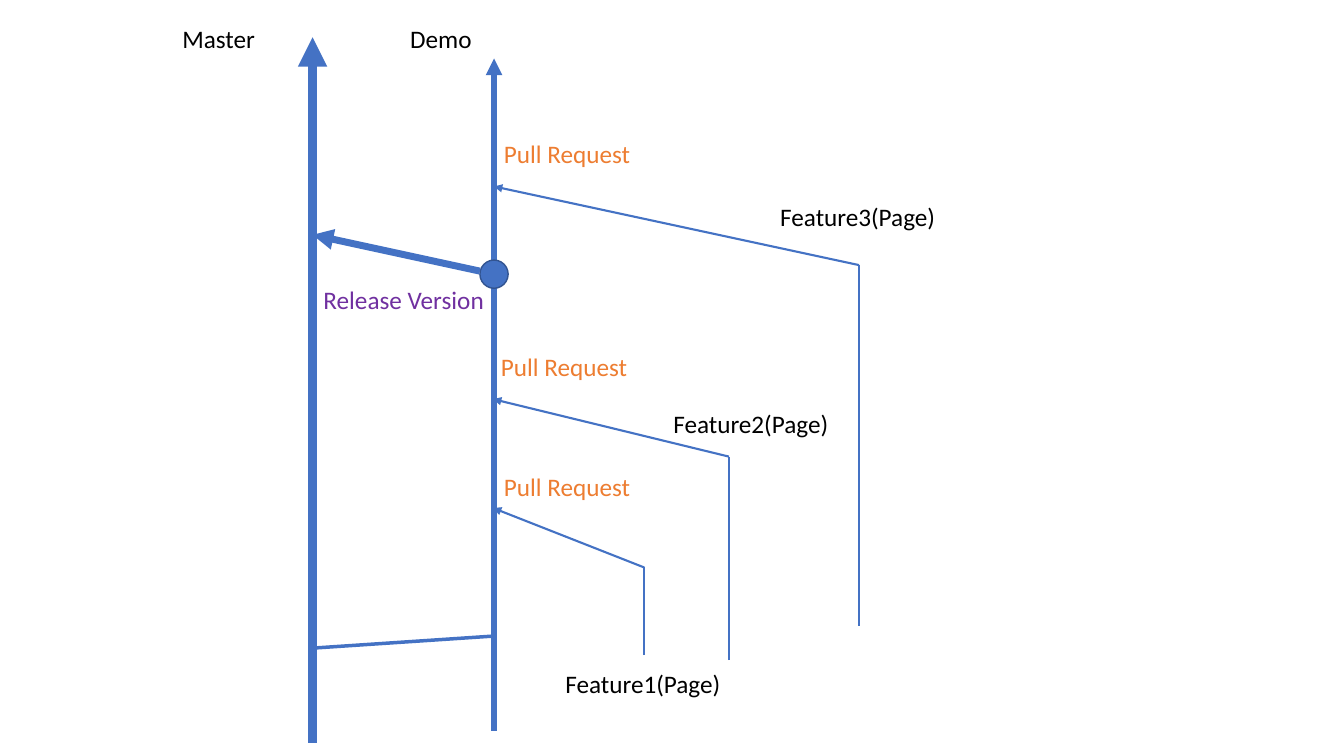
from dataclasses import dataclass

from lxml import etree
from pptx import Presentation
from pptx.dml.color import RGBColor as Color
from pptx.enum.shapes import MSO_CONNECTOR as Connector, MSO_SHAPE as Shape
from pptx.enum.text import MSO_AUTO_SIZE as AutoSize
from pptx.oxml.ns import qn
from pptx.util import Inches, Pt


@dataclass(frozen=True)
class Theme:
    font: str = "Calibri"
    size: int = 18
    text: str = "000000"
    branch: str = "4472C4"
    outline: str = "325491"
    release: str = "7030A0"
    request: str = "ED7D31"


class BranchDiagram:
    def __init__(self, page, theme):
        self.page = page
        self.theme = theme

    def line(self, start, end, width, arrow=False):
        points = [Inches(value) for value in (*start, *end)]
        connector = self.page.shapes.add_connector(Connector.STRAIGHT, *points)
        connector.line.color.rgb = Color.from_string(self.theme.branch)
        connector.line.width = Pt(width)
        if arrow:
            outline = connector.line._get_or_add_ln()
            etree.SubElement(outline, qn("a:tailEnd"), type="triangle")
        etree.SubElement(connector._element.spPr, qn("a:effectLst"))

    def label(self, text, left, top, width, color):
        box = self.page.shapes.add_textbox(
            Inches(left), Inches(top), Inches(width), Inches(0.4))
        frame = box.text_frame
        frame.word_wrap = False
        frame.auto_size = AutoSize.SHAPE_TO_FIT_TEXT
        span = frame.paragraphs[0].add_run()
        span.text = text
        style = {"name": self.theme.font, "size": Pt(self.theme.size)}
        for name, value in style.items():
            setattr(span.font, name, value)
        span.font.color.rgb = Color.from_string(color)

    def commit(self, left, top, diameter):
        dot = self.page.shapes.add_shape(
            Shape.OVAL, Inches(left), Inches(top), Inches(diameter), Inches(diameter))
        dot.shadow.inherit = False
        dot.fill.solid()
        dot.fill.fore_color.rgb = Color.from_string(self.theme.branch)
        dot.line.color.rgb = Color.from_string(self.theme.outline)
        dot.line.width = Pt(1)


MASTER_X, DEMO_X = 3.1, 4.9

# Feature: x, bottom, top, merge point, label position
FEATURES = [
    ("Feature1(Page)", 6.39, 6.5, 5.63, (4.89, 5.04), (5.51, 6.58)),
    ("Feature2(Page)", 7.23, 6.55, 4.53, (4.89, 3.96), (6.58, 4.0)),
    ("Feature3(Page)", 8.52, 6.21, 2.63, (DEMO_X, 1.85), (7.64, 1.95)),
]
REQUESTS = [(4.9, 4.63), (4.87, 3.44), (4.9, 1.32)]


def main():
    deck = Presentation()
    deck.slide_width, deck.slide_height = Inches(13.33), Inches(7.5)
    theme = Theme()
    diagram = BranchDiagram(deck.slides.add_slide(deck.slide_layouts[6]), theme)

    # Long-lived branches
    diagram.line((MASTER_X, 7.37), (MASTER_X, 0.37), 7, arrow=True)
    diagram.line((DEMO_X, 7.25), (DEMO_X, 0.58), 4, arrow=True)
    diagram.label("Master", 1.71, 0.18, 0.93, theme.text)
    diagram.label("Demo", 3.97, 0.18, 0.82, theme.text)
    diagram.line((MASTER_X, 6.43), (DEMO_X, 6.31), 2.5)

    # Feature branches and their merges into Demo
    for name, x, bottom, top, merge, place in FEATURES:
        diagram.line((x, bottom), (x, top), 1.5)
        diagram.line((x, top), merge, 1.5, arrow=True)
        diagram.label(name, *place, 1.76, theme.text)

    # Release from Demo to Master
    diagram.commit(4.76, 2.58, 0.28)
    diagram.line((4.76, 2.69), (MASTER_X, 2.33), 5, arrow=True)
    diagram.label("Release Version", 3.11, 2.77, 1.81, theme.release)

    # Pull requests
    for left, top in REQUESTS:
        diagram.label("Pull Request", left, top, 1.47, theme.request)

    deck.save("out.pptx")


if __name__ == "__main__":
    main()
